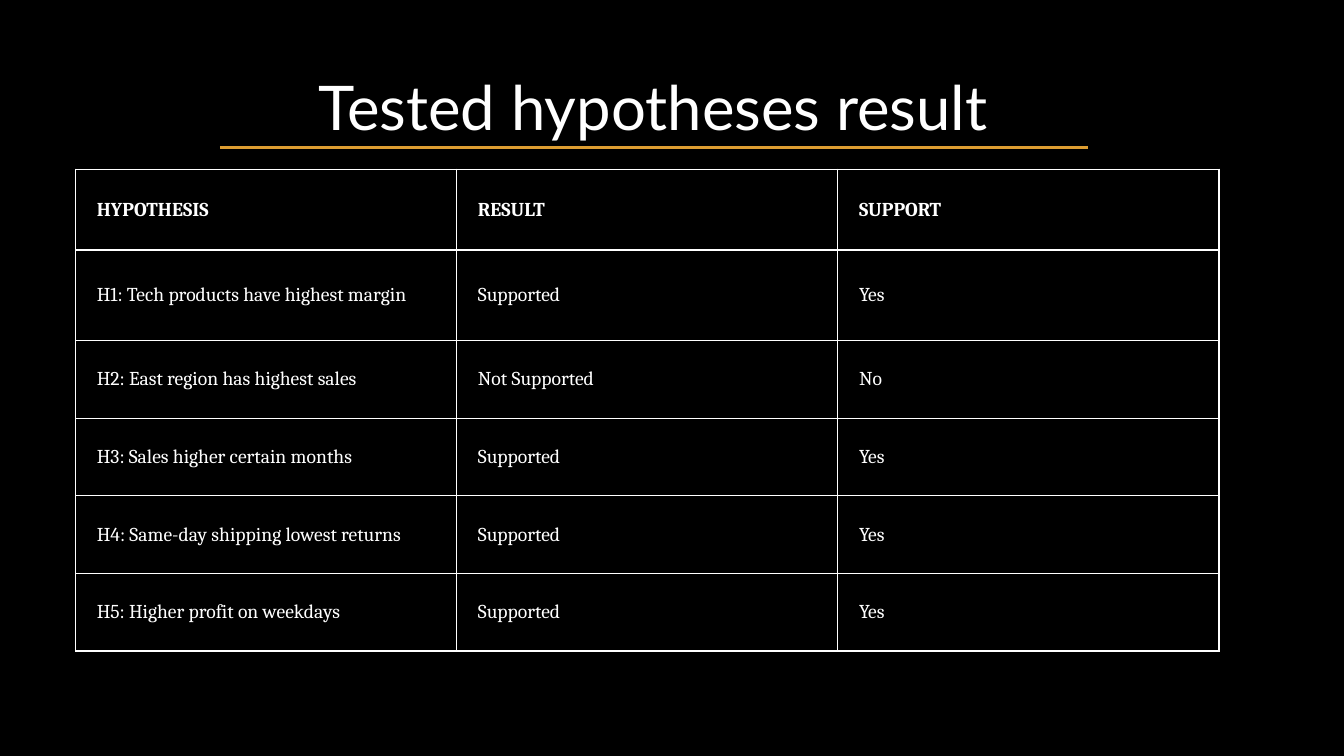
import pptx
import pptx.util
import pptx.dml.color
import pptx.enum.shapes
import pptx.enum.text
import pptx.oxml
import pptx.oxml.ns

Inches, Pt = pptx.util.Inches, pptx.util.Pt
RGBColor = pptx.dml.color.RGBColor

# Content
TITLE = "Tested hypotheses result"
HEADINGS = ("HYPOTHESIS", "RESULT", "SUPPORT")
FINDINGS = [
    ("H1: Tech products have highest margin", "Supported", "Yes"),
    ("H2: East region has highest sales", "Not Supported", "No"),
    ("H3: Sales higher certain months", "Supported", "Yes"),
    ("H4: Same-day shipping lowest returns", "Supported", "Yes"),
    ("H5: Higher profit on weekdays", "Supported", "Yes"),
]

# Style
BLACK = RGBColor(0x00, 0x00, 0x00)
WHITE = RGBColor(0xFF, 0xFF, 0xFF)
ORANGE = RGBColor(0xDD, 0x9D, 0x31)

# Layout in inches
TITLE_BOX = (1.43, 0.63, 10.1, 0.84)
RULE_LEFT, RULE_RIGHT, RULE_Y = 2.18, 10.79, 1.46
TABLE_LEFT, TABLE_TOP, COLUMN_WIDTH = 0.75, 1.68, 3.78
ROW_HEIGHTS = [0.8, 0.9] + [0.77] * (len(FINDINGS) - 1)
CELL_MARGIN = 0.21


def add_text(paragraph, text, size, font_name, bold=False):
    run = paragraph.add_run()
    run.text = text
    run.font.size = Pt(size)
    run.font.name = font_name
    run.font.bold = bold
    run.font.color.rgb = WHITE


def add_borders(cell, color, width):
    properties = cell._tc.get_or_add_tcPr()
    for side in ("lnL", "lnR", "lnT", "lnB"):
        properties.append(pptx.oxml.parse_xml(
            f'<a:{side} {pptx.oxml.ns.nsdecls("a")} w="{Pt(width)}">'
            f'<a:solidFill><a:srgbClr val="{color}"/></a:solidFill></a:{side}>'))


presentation = pptx.Presentation()
presentation.slide_width = Inches(13.33)
presentation.slide_height = Inches(7.5)
slide = presentation.slides.add_slide(presentation.slide_layouts[6])
slide.background.fill.solid()
slide.background.fill.fore_color.rgb = BLACK

# Title
title = slide.shapes.add_textbox(*map(Inches, TITLE_BOX)).text_frame
title.word_wrap = True
title.auto_size = pptx.enum.text.MSO_AUTO_SIZE.SHAPE_TO_FIT_TEXT
title.paragraphs[0].alignment = pptx.enum.text.PP_ALIGN.CENTER
add_text(title.paragraphs[0], TITLE, 44, "Lato")

# Rule under the title
rule = slide.shapes.add_connector(
    pptx.enum.shapes.MSO_CONNECTOR.STRAIGHT,
    Inches(RULE_LEFT), Inches(RULE_Y), Inches(RULE_RIGHT), Inches(RULE_Y))
rule.line.color.rgb = ORANGE
rule.line.width = Pt(2)
rule._element.spPr.append(
    pptx.oxml.parse_xml(f'<a:effectLst {pptx.oxml.ns.nsdecls("a")}/>'))

# Table of hypotheses
rows = [HEADINGS] + FINDINGS
results = slide.shapes.add_table(
    len(rows), len(HEADINGS), Inches(TABLE_LEFT), Inches(TABLE_TOP),
    Inches(COLUMN_WIDTH * len(HEADINGS)), Inches(sum(ROW_HEIGHTS))).table
results.first_row = False
results.horz_banding = False
for column in results.columns:
    column.width = Inches(COLUMN_WIDTH)
for row_index, texts in enumerate(rows):
    results.rows[row_index].height = Inches(ROW_HEIGHTS[row_index])
    for column_index, text in enumerate(texts):
        cell = results.cell(row_index, column_index)
        cell.vertical_anchor = pptx.enum.text.MSO_ANCHOR.MIDDLE
        cell.margin_left = cell.margin_right = Inches(CELL_MARGIN)
        cell.margin_top = cell.margin_bottom = Inches(CELL_MARGIN)
        add_borders(cell, WHITE, 1)
        cell.fill.background()
        add_text(cell.text_frame.paragraphs[0], text, 14, "Cambria",
                 bold=row_index == 0)

presentation.save("out.pptx")
